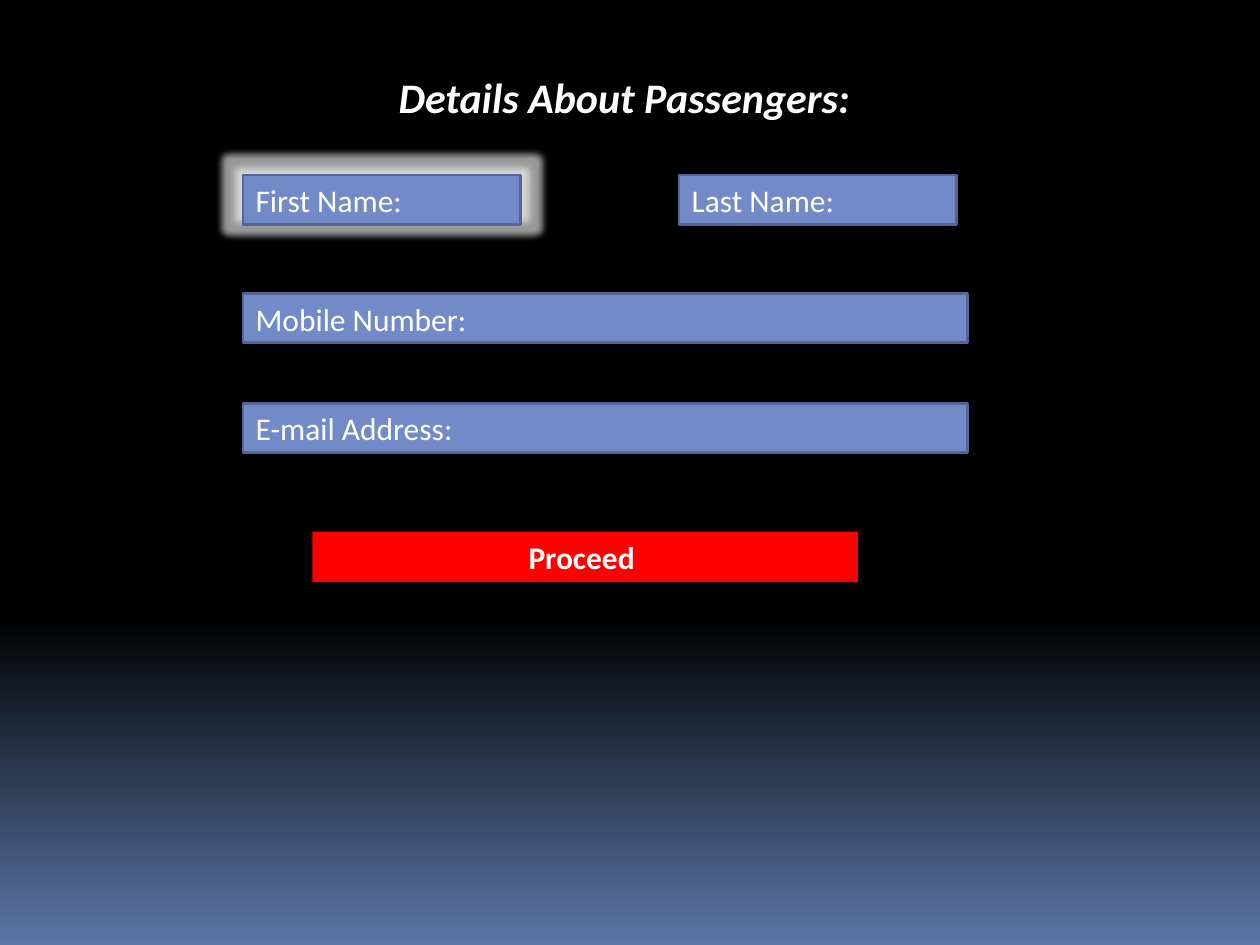
from lxml import etree
from pptx import Presentation
from pptx import util as u
from pptx.dml.color import RGBColor
from pptx.enum import shapes, text
from pptx.oxml.ns import qn

THEME = {
    "font": "Calibri", "title_size": 24, "field_size": 18,
    "text": "FFFFFF", "field": "738AC8", "field_line": "556694",
    "button": "FF0000", "highlight_line": "FEB80A", "glow": "FFFFFF",
    "background": [(0, "000000"), (65, "000000"), (100, "5B77A8")],
    "highlight": [(0, "FFF0E1"), (40, "FFDCB4"), (50, "FFD9AD"),
                  (65, "FFDCB4"), (100, "FFF3E7")],
}

# Content; places are percentages of the slide's width and height
TITLE = ("Details About Passengers:", (22.4, 6.93, 54.3, 6.67))
LEFT, RIGHT = 19.3, 53.9
HALF, FULL = 22, 57.5
ROWS = [18.53, 31.07, 42.67]
FIELD_HEIGHT, LABEL_HEIGHT, HIGHLIGHT_HEIGHT = 5.2, 5.33, 4.13
FIELDS = [  # label, left, row, field width, label width
    ("First Name:", LEFT, 0, HALF, HALF),
    ("Last Name:", RIGHT, 0, HALF, 22.8),
    ("Mobile Number:", LEFT, 1, FULL, 58.3),
    ("E-mail Address:", LEFT, 2, FULL, FULL),
]
BUTTON = ("Proceed ", (24.8, 56.27, 43.3, LABEL_HEIGHT))

deck = Presentation()
deck.slide_width, deck.slide_height = u.Inches(10), u.Inches(7.5)
slide = deck.slides.add_slide(deck.slide_layouts[6])


def place(box):
    left, top, width, height = box
    return (int(deck.slide_width * left / 100), int(deck.slide_height * top / 100),
            int(deck.slide_width * width / 100), int(deck.slide_height * height / 100))


def add_color(parent, color):
    return etree.SubElement(parent, qn("a:srgbClr"), val=color)


def paint_gradient(fill, owner, stops):
    fill.gradient()
    fill.gradient_angle = 270
    stop_list = next(owner.iter(qn("a:gsLst")))
    for old in list(stop_list):
        stop_list.remove(old)
    for position, color in stops:
        add_color(etree.SubElement(stop_list, qn("a:gs"), pos=str(position * 1000)), color)


def add_rect(box, fill=None, line=None, weight=1.5):
    rect = slide.shapes.add_shape(shapes.MSO_SHAPE.RECTANGLE, *place(box))
    rect.shadow.inherit = False
    if fill:
        rect.fill.solid()
        rect.fill.fore_color.rgb = RGBColor.from_string(fill)
    if line:
        rect.line.color.rgb = RGBColor.from_string(line)
        rect.line.width = u.Pt(weight)
    else:
        rect.line.fill.background()
    return rect


def write(holder, words, size, align=text.PP_ALIGN.LEFT, bold=False, italic=False):
    frame = holder.text_frame
    frame.text = words
    frame.word_wrap = True
    frame.vertical_anchor = text.MSO_ANCHOR.TOP
    frame.auto_size = text.MSO_AUTO_SIZE.SHAPE_TO_FIT_TEXT
    line = frame.paragraphs[0]
    line.alignment = align
    font = line.runs[0].font
    font.name, font.size = THEME["font"], u.Pt(size)
    font.bold, font.italic = bold, italic
    font.color.rgb = RGBColor.from_string(THEME["text"])


def add_label(words, box, size, **style):
    write(slide.shapes.add_textbox(*place(box)), words, size, **style)


# Background and title
paint_gradient(slide.background.fill, slide.element, THEME["background"])
add_label(*TITLE, THEME["title_size"], align=text.PP_ALIGN.CENTER, bold=True, italic=True)

# Glowing highlight behind the active field
highlight = add_rect((LEFT, ROWS[0], HALF, HIGHLIGHT_HEIGHT),
                     line=THEME["highlight_line"], weight=0.94)
paint_gradient(highlight.fill, highlight.element, THEME["highlight"])
effects = highlight.element.spPr.find(qn("a:effectLst"))
glow = etree.SubElement(effects, qn("a:glow"), rad=str(u.Pt(8)))
etree.SubElement(add_color(glow, THEME["glow"]), qn("a:alpha"), val="60000")

# Form fields
for label, left, row, field_width, label_width in FIELDS:
    add_rect((left, ROWS[row], field_width, FIELD_HEIGHT), THEME["field"], THEME["field_line"])
    add_label(label, (left, ROWS[row], label_width, LABEL_HEIGHT), THEME["field_size"])

# Proceed button
caption, button_box = BUTTON
write(add_rect(button_box, THEME["button"]), caption, THEME["field_size"],
      align=text.PP_ALIGN.CENTER, bold=True)

deck.save("out.pptx")
